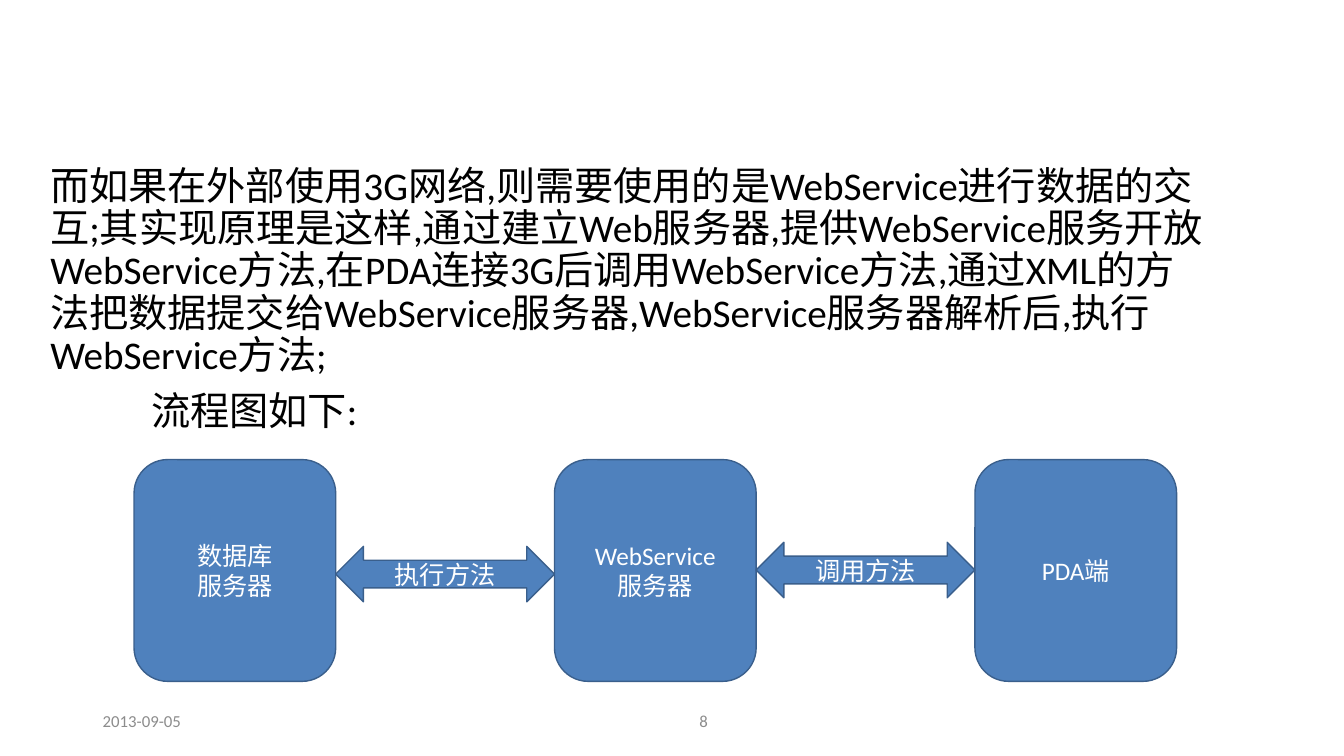
import pptx
import pptx.dml.color
import pptx.enum.shapes
import pptx.enum.text
import pptx.util

Inches = pptx.util.Inches
Pt = pptx.util.Pt
SHAPES = pptx.enum.shapes.MSO_SHAPE
ALIGN = pptx.enum.text.PP_ALIGN
ANCHOR = pptx.enum.text.MSO_ANCHOR

FONT = "Calibri"
COLORS = {
    "body": "000000",
    "node": "4F81BD",
    "outline": "3A5F8C",
    "label": "FFFFFF",
    "footer": "8C8C8C",
}

BODY = (
    "而如果在外部使用3G网络,则需要使用的是WebService进行数据的交互;"
    "其实现原理是这样,通过建立Web服务器,提供WebService服务开放WebService方法,"
    "在PDA连接3G后调用WebService方法,通过XML的方法把数据提交给WebService服务器,"
    "WebService服务器解析后,执行WebService方法;"
)
FLOW_HEADING = "流程图如下:"
NODES = [["数据库", "服务器"], ["WebService", "服务器"], ["PDA端"]]
ARROWS = [("执行方法", 5.42), ("调用方法", 5.38)]

NODE_LEFT, NODE_TOP, NODE_WIDTH, NODE_HEIGHT = 1.33, 4.56, 2, 2.2
ARROW_WIDTH, ARROW_HEIGHT = 2.17, 0.55
NODE_STEP = NODE_WIDTH + ARROW_WIDTH


def color(name):
    return pptx.dml.color.RGBColor.from_string(COLORS[name])


def write_lines(text_frame, lines, size, color_name, align=ALIGN.LEFT):
    """Write one paragraph per line in a uniform style."""
    text_frame.word_wrap = True
    for index, line in enumerate(lines):
        paragraph = text_frame.paragraphs[0] if index == 0 else text_frame.add_paragraph()
        paragraph.text = line
        paragraph.alignment = align
        paragraph.font.name = FONT
        paragraph.font.size = Pt(size)
        paragraph.font.color.rgb = color(color_name)


def add_text(slide, left, top, width, height, lines, size, color_name,
             align=ALIGN.LEFT, anchor=ANCHOR.TOP):
    box = slide.shapes.add_textbox(Inches(left), Inches(top), Inches(width), Inches(height))
    box.text_frame.vertical_anchor = anchor
    write_lines(box.text_frame, lines, size, color_name, align)
    return box


def add_flow_shape(slide, kind, left, top, width, height, lines):
    shape = slide.shapes.add_shape(
        kind, Inches(left), Inches(top), Inches(width), Inches(height))
    shape.shadow.inherit = False
    shape.fill.solid()
    shape.fill.fore_color.rgb = color("node")
    shape.line.color.rgb = color("outline")
    shape.line.width = Pt(1)
    shape.text_frame.vertical_anchor = ANCHOR.MIDDLE
    write_lines(shape.text_frame, lines, 18, "label", ALIGN.CENTER)


def add_body(slide):
    box = add_text(slide, 0.4, 1.6, 11.71, 2.8, [BODY, FLOW_HEADING], 28, "body")
    explanation, heading = box.text_frame.paragraphs
    explanation.line_spacing = heading.line_spacing = 0.9
    heading.space_before = Pt(10)
    heading._p.get_or_add_pPr().set("marL", str(Inches(1)))


def add_flow(slide):
    for index, lines in enumerate(NODES):
        add_flow_shape(slide, SHAPES.ROUNDED_RECTANGLE, NODE_LEFT + index * NODE_STEP,
                       NODE_TOP, NODE_WIDTH, NODE_HEIGHT, lines)
    for index, (label, top) in enumerate(ARROWS):
        add_flow_shape(slide, SHAPES.LEFT_RIGHT_ARROW,
                       NODE_LEFT + NODE_WIDTH + index * NODE_STEP,
                       top, ARROW_WIDTH, ARROW_HEIGHT, [label])


def add_footer(slide):
    for left, text, align in [(0.92, "2013-09-05", ALIGN.LEFT), (4.12, "8", ALIGN.RIGHT)]:
        add_text(slide, left, 6.95, 3, 0.4, [text], 12, "footer", align, ANCHOR.MIDDLE)


def main():
    presentation = pptx.Presentation()
    presentation.slide_width = Inches(13.33)
    presentation.slide_height = Inches(7.5)
    slide = presentation.slides.add_slide(presentation.slide_layouts[6])
    add_body(slide)
    add_flow(slide)
    add_footer(slide)
    presentation.save("out.pptx")


if __name__ == "__main__":
    main()
